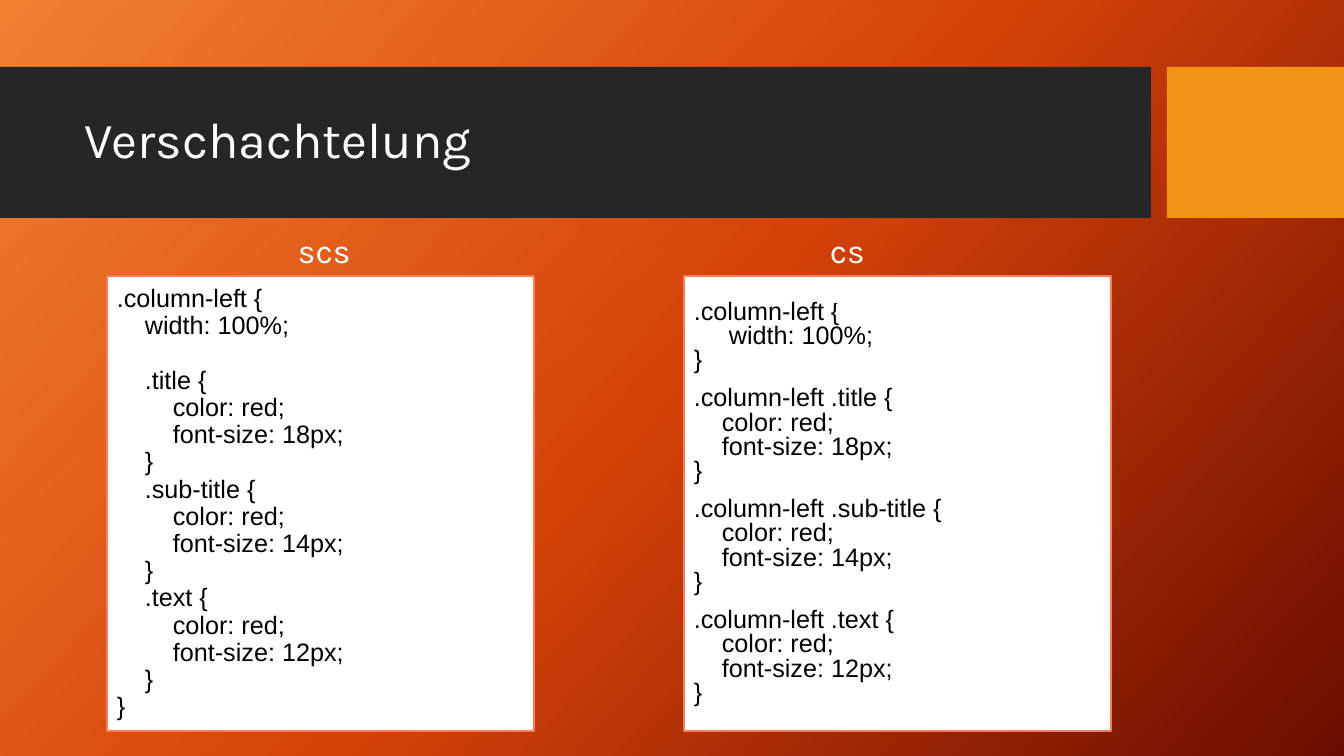
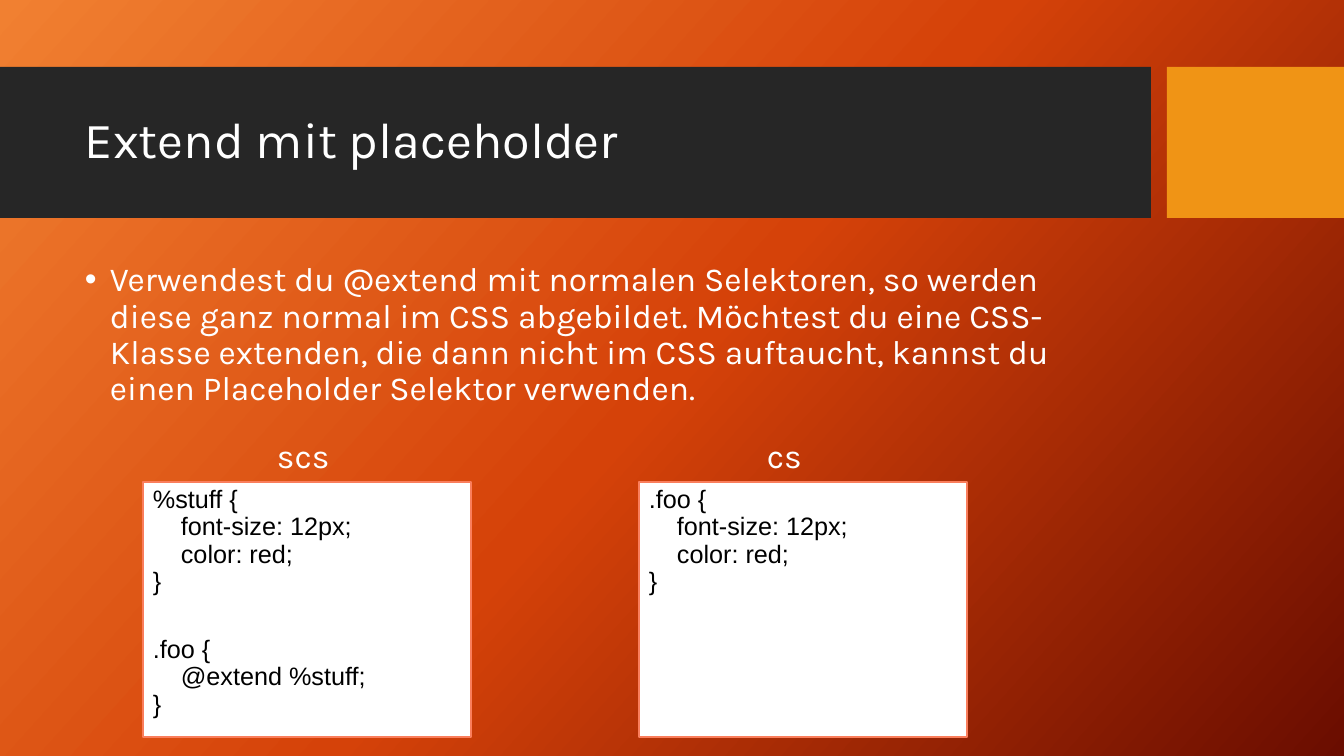
from copy import deepcopy
from pptx import Presentation
from pptx.dml.color import RGBColor
from pptx.enum.shapes import MSO_SHAPE as Shape
from pptx.enum.text import MSO_ANCHOR as Anchor, PP_ALIGN as Align
from pptx.oxml.ns import qn
from pptx.util import Pt
from lxml.etree import SubElement

EMU_PER_PIXEL = 914400 / 100.8
SPACE_WIDTH = 7
BLOCK_GAP = 10
LINE_GAP = 19.4


def px(length):
    return round(length * EMU_PER_PIXEL)


def color(value):
    return RGBColor.from_string(value)


class Slides:
    white, black = "FFFFFF", "000000"
    band, accent, border = "262626", "F09415", "FA7E5C"
    gradient = [(0, "F18031"), (0.5, "D54209"), (1, "6A0D00")]
    text_font, code_font = "Karla", "Arial"

    def __init__(self):
        self.deck = Presentation()
        self.deck.slide_width, self.deck.slide_height = px(1344), px(756)

    def add_slide(self, title):
        self.page = self.deck.slides.add_slide(self.deck.slide_layouts[6])
        self.paint_background()
        self.rectangle(0, 67, 1151, 151, self.band)
        self.rectangle(1167, 67, 177, 151, self.accent)
        frame = self.text_box(75, 83, 1059, 119)
        frame.vertical_anchor = Anchor.MIDDLE
        self.set_text(frame.paragraphs[0], title, 36, spacing=0.9)

    def paint_background(self):
        fill = self.page.background.fill
        fill.gradient()
        fill.gradient_angle = 360 - 42
        stops = self.page.element.xpath(".//a:gsLst")[0]
        stops.append(deepcopy(stops[0]))
        for stop, (position, value) in zip(fill.gradient_stops, self.gradient):
            stop.position = position
            stop.color.rgb = color(value)

    def rectangle(self, left, top, width, height, fill, line=None):
        box = self.page.shapes.add_shape(
            Shape.RECTANGLE, px(left), px(top), px(width), px(height))
        box.shadow.inherit = False
        box.fill.solid()
        box.fill.fore_color.rgb = color(fill)
        if line:
            box.line.color.rgb = color(line)
            box.line.width = Pt(1)
        else:
            box.line.fill.background()
        return box

    def text_box(self, left, top, width, height, wrap=True):
        box = self.page.shapes.add_textbox(px(left), px(top), px(width), px(height))
        box.text_frame.word_wrap = wrap
        return box.text_frame

    def set_text(self, para, text, size, font=text_font, ink=white, spacing=1.0, before=0):
        para.text = text
        para.alignment = Align.LEFT
        para.line_spacing = spacing
        para.space_before = Pt(before)
        para.font.size = Pt(size)
        para.font.name = font
        para.font.color.rgb = color(ink)

    def label(self, left, top, width, text):
        frame = self.text_box(left, top, width, 50, wrap=False)
        self.set_text(frame.paragraphs[0], text, 24)

    def bullet(self, left, top, width, height, text):
        para = self.text_box(left, top, width, height).paragraphs[0]
        self.set_text(para, text, 24, spacing=0.9, before=BLOCK_GAP)
        properties = para._p.get_or_add_pPr()
        properties.set("marL", str(px(25)))
        properties.set("indent", str(-px(25)))
        mark_font = properties.makeelement(qn("a:buFont"), {"typeface": self.code_font})
        mark = properties.makeelement(qn("a:buChar"), {"char": "•"})
        properties.find(qn("a:defRPr")).addprevious(mark_font)
        mark_font.addnext(mark)

    def code(self, left, top, width, height, blocks, spacing=0.9, anchor=Anchor.TOP):
        box = self.rectangle(left, top, width, height, self.white, self.border)
        frame = box.text_frame
        frame.word_wrap = True
        frame.vertical_anchor = anchor
        para = frame.paragraphs[0]
        for gap, block in blocks:
            for number, line in enumerate(block.split("\n")):
                if para is None:
                    para = frame.add_paragraph()
                text = line.lstrip()
                self.set_text(para, text, 18, self.code_font, self.black, spacing,
                              0 if number else gap)
                indent = (len(line) - len(text)) * SPACE_WIDTH
                para._p.get_or_add_pPr().set("marL", str(px(indent)))
                para = None


def rule(selector, *declarations, indent=4):
    body = [" " * indent + declaration + ";" for declaration in declarations]
    return "\n".join([selector + " {", *body, "}"])


def nested(block):
    return "\n".join("    " + line for line in block.split("\n"))


text_sizes = [(".title", 18), (".sub-title", 14), (".text", 12)]
styles = [(name, "color: red", f"font-size: {size}px") for name, size in text_sizes]
inner_rules = "\n".join(nested(rule(*style)) for style in styles)
flat_rules = [rule(".column-left", "width: 100%", indent=5)]
flat_rules += [rule(".column-left " + name, *rest) for name, *rest in styles]

slides = Slides()

slides.add_slide("Verschachtelung")
slides.code(684, 276, 427, 455, [(BLOCK_GAP, block) for block in flat_rules],
            spacing=0.8, anchor=Anchor.MIDDLE)
slides.code(107, 276, 427, 455,
            [(BLOCK_GAP, ".column-left {\n    width: 100%;"),
             (LINE_GAP, inner_rules + "\n}")],
            anchor=Anchor.MIDDLE)
slides.label(288, 225, 79, "scss")
slides.label(820, 225, 65, "css")

slides.add_slide("Extend mit placeholder")
slides.bullet(75, 258, 1059, 397,
              "Verwendest du @extend mit normalen Selektoren, so werden diese ganz "
              "normal im CSS abgebildet. Möchtest du eine CSS-Klasse extenden, die dann "
              "nicht im CSS auftaucht, kannst du einen Placeholder Selektor verwenden.")
shared = ("font-size: 12px", "color: red")
slides.code(143, 482, 328, 255,
            [(BLOCK_GAP, rule("%stuff", *shared)),
             (BLOCK_GAP + LINE_GAP, rule(".foo", "@extend %stuff"))])
slides.code(639, 482, 328, 255, [(BLOCK_GAP, rule(".foo", *shared))])
slides.label(267, 430, 79, "scss")
slides.label(757, 430, 65, "css")

slides.deck.save("out.pptx")
